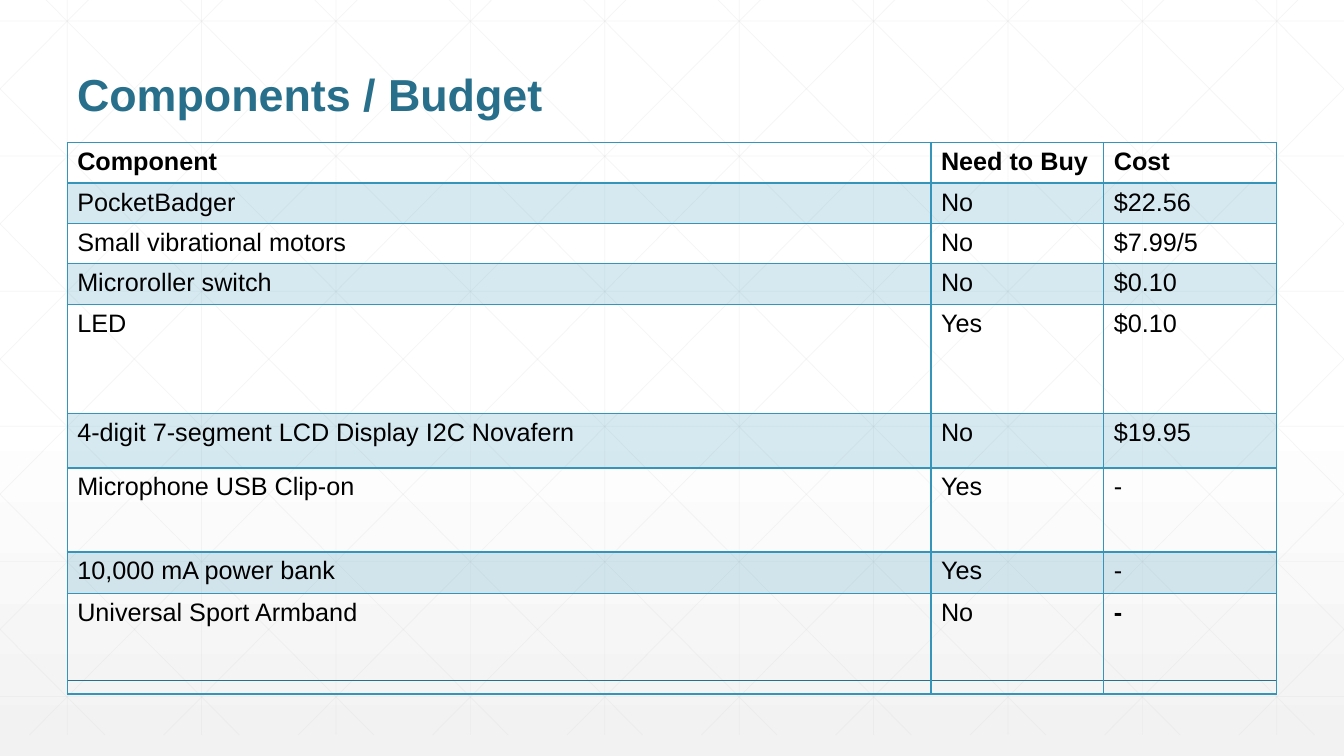
from pptx import Presentation
from pptx.dml.color import RGBColor
from pptx.enum.shapes import MSO_CONNECTOR
from pptx.enum.text import MSO_ANCHOR
from pptx.oxml import parse_xml
from pptx.oxml.ns import nsdecls, qn
from pptx.util import Pt


def hue(code):
    return RGBColor.from_string(code)


def rule(x1, y1, x2, y2, code="D9D9D9", width=0.5, alpha=25):
    line = slide.shapes.add_connector(
        MSO_CONNECTOR.STRAIGHT, Pt(x1), Pt(y1), Pt(x2), Pt(y2))
    line.line.color.rgb = hue(code)
    line.line.width = Pt(width)
    props = line._element.spPr
    color = props.find(".//" + qn("a:srgbClr"))
    color.append(parse_xml(f'<a:alpha {nsdecls("a")} val="{alpha * 1000}"/>'))
    props.append(parse_xml(f'<a:effectLst {nsdecls("a")}/>'))


deck = Presentation()
deck.slide_width, deck.slide_height = Pt(960), Pt(540)
slide = deck.slides.add_slide(deck.slide_layouts[6])

back = slide.background.fill
back.gradient()
back.gradient_angle = 270
for stop, (place, code) in zip(back.gradient_stops, [(0.53, "FFFFFF"), (1, "F2F2F2")]):
    stop.position = place
    stop.color.rgb = hue(code)

top, base, run = -15, 525, 537
for step in range(10):
    rule(48 + 96 * step, top, 48 + 96 * step, base)
for step in range(6):
    rule(0, 15 + 96.5 * step, 960, 15 + 96.5 * step)
for step in range(-5, 10):
    start = 18 + 96 * step
    left, right = max(start, 0), min(start + run, 960)
    high, low = [top + (x - start) * (base - top) / run for x in (left, right)]
    rule(left, high, right, low)
    rule(960 - left, high, 960 - right, low)
rule(48, 486, 912, 486, "276F8B", 1, 100)

title = slide.shapes.add_textbox(Pt(48), Pt(18), Pt(864), Pt(72)).text_frame
title.word_wrap = True
title.vertical_anchor = MSO_ANCHOR.BOTTOM
para = title.paragraphs[0]
para.text = "Components / Budget"
para.line_spacing = 0.9
for name, value in {"name": "Arial", "size": Pt(32), "bold": True}.items():
    setattr(para.font, name, value)
para.font.color.rgb = hue("276F8B")

rows = [
    (27, "Component", "Need to Buy", "Cost"),
    (27, "PocketBadger", "No", "$22.56"),
    (27, "Small vibrational motors", "No", "$7.99/5"),
    (27, "Microroller switch", "No", "$0.10"),
    (78, "LED", "Yes", "$0.10"),
    (39, "4-digit 7-segment LCD Display I2C Novafern", "No", "$19.95"),
    (60, "Microphone USB Clip-on", "Yes", "-"),
    (29.5, "10,000 mA power bank", "Yes", "-"),
    (72, "Universal Sport Armband", "No", "-"),
]
table = slide.shapes.add_table(
    len(rows), 3, Pt(48), Pt(102), Pt(864), Pt(386.5)).table
for name in ("first_row", "horz_banding"):
    setattr(table, name, False)
for col, width in zip(table.columns, (617, 123.5, 123.5)):
    col.width = Pt(width)

for r, (height, *texts) in enumerate(rows):
    table.rows[r].height = Pt(height)
    for c, text in enumerate(texts):
        cell = table.cell(r, c)
        para = cell.text_frame.paragraphs[0]
        para.text = text
        bold = r == 0 or (r, c) == (8, 2)
        for name, value in {"name": "Arial", "size": Pt(18), "bold": bold}.items():
            setattr(para.font, name, value)
        para.font.color.rgb = hue("000000")
        props = cell._tc.get_or_add_tcPr()
        if r % 2:
            cell.fill.solid()
            cell.fill.fore_color.rgb = hue("3494BA")
            props.find(".//" + qn("a:srgbClr")).append(
                parse_xml(f'<a:alpha {nsdecls("a")} val="20000"/>'))
        else:
            cell.fill.background()
        for spot, side in enumerate("LRTB"):
            thick = (r, side) in [(0, "B"), (1, "T")]
            props.insert(spot, parse_xml(
                f'<a:ln{side} {nsdecls("a")} w="{Pt(2 if thick else 1)}"><a:solidFill>'
                f'<a:srgbClr val="3494BA"/></a:solidFill></a:ln{side}>'))

deck.save("out.pptx")
